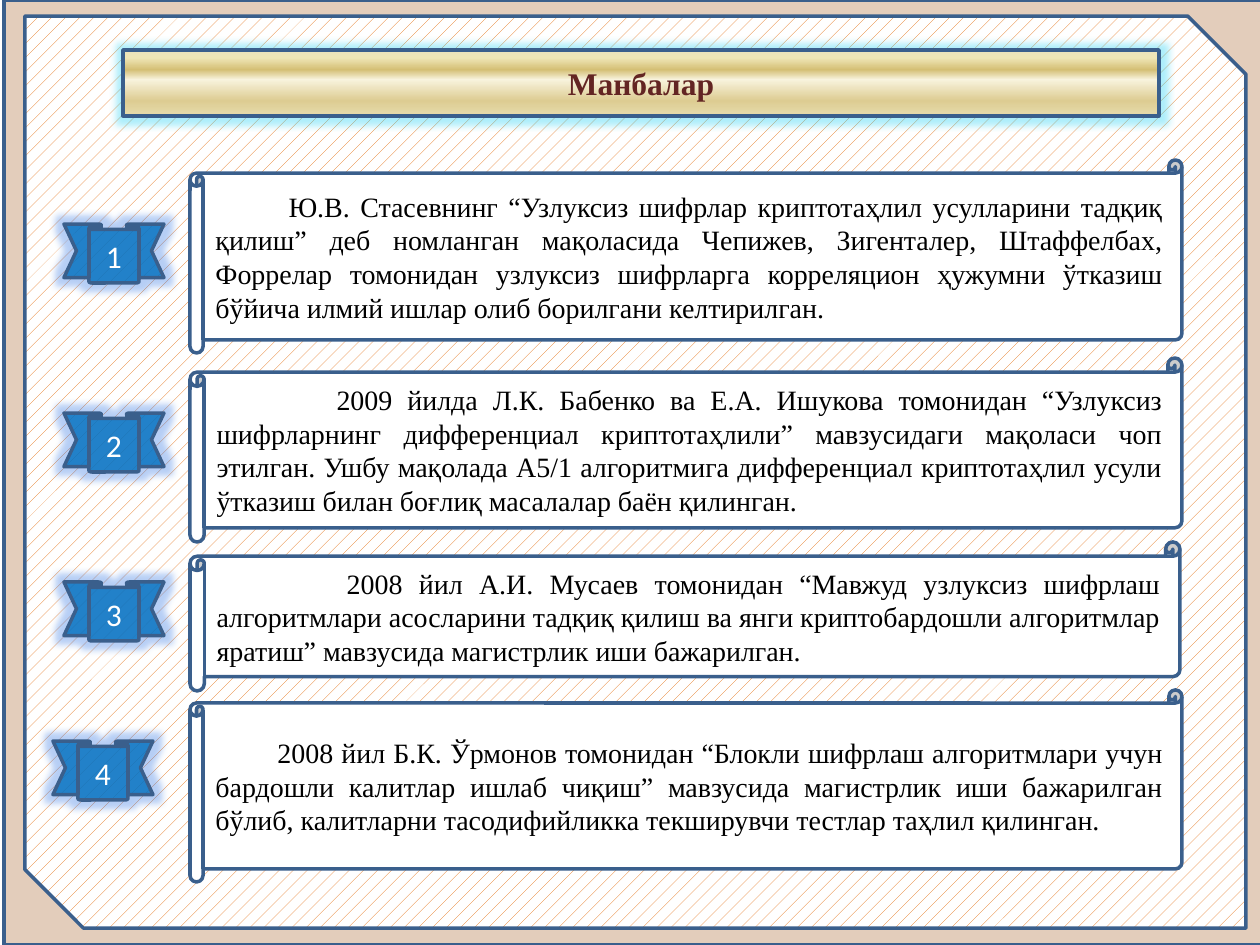
from lxml.etree import SubElement
from pptx import Presentation
from pptx.dml.color import RGBColor
from pptx.enum.dml import MSO_PATTERN
from pptx.enum.shapes import MSO_SHAPE
from pptx.enum.text import MSO_ANCHOR, PP_ALIGN
from pptx.oxml.ns import qn
from pptx.util import Pt

EMU_PER_PX = 914400 / 126
COLORS = {
    "frame": "984807", "outline": "3A5F8C", "hatch": "E46C0A",
    "white": "FFFFFF", "black": "000000", "ribbon": "0070C0",
    "title": "632523", "title_glow": "33D5F5", "ribbon_glow": "4A86E8",
}
TITLE_STOPS = [(0, "EBE3BD"), (12, "EFE6B6"), (30, "D4BF75"),
               (45, "F8F3DD"), (77, "DDCC92"), (100, "E6DCAC")]
TITLE_FONT = {"name": "Times New Roman", "size": Pt(18), "bold": True}
NUMBER_FONT = {"name": "Calibri", "size": Pt(18)}
BODY_FONT = {"name": "Times New Roman", "size": Pt(16)}

# Ribbon (left, top), scroll (top, width, height), curl, first-line indent, text
SOURCES = [
    ((64, 224), (160, 992, 193), 0.068, 73,
     "Ю.В. Стасевнинг “Узлуксиз шифрлар криптотаҳлил усулларини тадқиқ қилиш” "
     "деб номланган мақоласида Чепижев, Зигенталер, Штаффелбах, Форрелар "
     "томонидан узлуксиз шифрларга корреляцион ҳужумни ўтказиш бўйича илмий "
     "ишлар олиб борилгани келтирилган."),
    ((64, 413), (358, 992, 184), 0.077, 120,
     "2009 йилда Л.К. Бабенко ва Е.А. Ишукова томонидан “Узлуксиз шифрларнинг "
     "дифференциал криптотаҳлили” мавзусидаги мақоласи чоп этилган. Ушбу "
     "мақолада А5/1 алгоритмига дифференциал криптотаҳлил усули ўтказиш билан "
     "боғлиқ масалалар баён қилинган."),
    ((64, 582), (542, 990, 149), 0.096, 130,
     "2008 йил А.И. Мусаев томонидан “Мавжуд узлуксиз шифрлаш алгоритмлари "
     "асосларини тадқиқ қилиш ва янги криптобардошли алгоритмлар яратиш” "
     "мавзусида магистрлик иши бажарилган."),
    ((53, 741), (690, 992, 192), 0.068, 62,
     "2008 йил Б.К. Ўрмонов томонидан “Блокли шифрлаш алгоритмлари учун "
     "бардошли калитлар ишлаб чиқиш” мавзусида магистрлик иши бажарилган "
     "бўлиб, калитларни тасодифийликка текширувчи тестлар таҳлил қилинган."),
]


def px(length):
    return round(length * EMU_PER_PX)


def rgb(key):
    return RGBColor.from_string(COLORS[key])


class SlideBuilder:
    def __init__(self, slide):
        self.slide = slide

    def outline(self, shape):
        shape.shadow.inherit = False
        shape.line.color.rgb = rgb("outline")
        shape.line.width = Pt(2)

    def glow(self, shape, color):
        effects = shape._element.spPr.find(qn("a:effectLst"))
        glow = SubElement(effects, qn("a:glow"), rad=str(Pt(8)))
        tint = SubElement(glow, qn("a:srgbClr"), val=COLORS[color])
        SubElement(tint, qn("a:alpha"), val="40000")

    def shape(self, kind, box, color, opacity=100, curves=()):
        shape = self.slide.shapes.add_shape(kind, *map(px, box))
        for index, curve in enumerate(curves):
            shape.adjustments[index] = curve
        shape.fill.solid()
        shape.fill.fore_color.rgb = rgb(color)
        if opacity < 100:
            tint = shape._element.spPr.find(".//" + qn("a:srgbClr"))
            SubElement(tint, qn("a:alpha"), val=str(opacity * 1000))
        self.outline(shape)
        return shape

    def label(self, shape, text, font, color, align=PP_ALIGN.CENTER, indent=0):
        frame = shape.text_frame
        frame.word_wrap = True
        frame.vertical_anchor = MSO_ANCHOR.MIDDLE
        frame.text = text
        paragraph = frame.paragraphs[0]
        paragraph.alignment = align
        if indent:
            paragraph._p.get_or_add_pPr().set("indent", str(px(indent)))
        run = paragraph.runs[0]
        for name, value in font.items():
            setattr(run.font, name, value)
        run.font.color.rgb = rgb(color)

    def panel(self, box):
        panel = self.shape(MSO_SHAPE.SNIP_2_DIAG_RECTANGLE, box, "white",
                           curves=(0, 0.064))
        panel.fill.patterned()
        panel.fill.pattern = MSO_PATTERN.PERCENT_10
        panel.fill.fore_color.rgb = rgb("hatch")
        panel.fill.back_color.rgb = rgb("white")

    def title(self, text, box):
        title = self.slide.shapes.title
        for name, length in zip(("left", "top", "width", "height"), box):
            setattr(title, name, px(length))
        title.fill.gradient()
        title.fill.gradient_angle = 270
        stops = title._element.spPr.find(".//" + qn("a:gsLst"))
        stops.clear()
        for position, color in TITLE_STOPS:
            stop = SubElement(stops, qn("a:gs"), pos=str(position * 1000))
            SubElement(stop, qn("a:srgbClr"), val=color)
        self.outline(title)
        self.glow(title, "title_glow")
        self.label(title, text, TITLE_FONT, "title")
        # Bring the title in front of the background panel
        self.slide.shapes._spTree.append(title._element)

    def ribbon(self, number, left, top):
        ribbon = self.shape(MSO_SHAPE.DOWN_RIBBON, (left, top, 100, 59),
                            "ribbon", opacity=81, curves=(0.091, 0.5))
        self.glow(ribbon, "ribbon_glow")
        self.label(ribbon, str(number), NUMBER_FONT, "white")

    def scroll(self, text, top, width, height, curl, indent):
        scroll = self.shape(MSO_SHAPE.HORIZONTAL_SCROLL,
                            (190, top, width, height), "white", curves=(curl,))
        self.label(scroll, text, BODY_FONT, "black", PP_ALIGN.JUSTIFY, indent)


def main():
    deck = Presentation()
    deck.slide_width, deck.slide_height = px(1260), px(945)
    builder = SlideBuilder(deck.slides.add_slide(deck.slide_layouts[5]))

    # Background frame and panel
    builder.shape(MSO_SHAPE.RECTANGLE, (4, 0, 1260, 945), "frame", opacity=27)
    builder.panel((25, 16, 1221, 912))

    # Title bar
    builder.title("Манбалар", (123, 50, 1036, 66))

    # Numbered sources
    for number, (corner, place, curl, indent, text) in enumerate(SOURCES, 1):
        builder.ribbon(number, *corner)
        builder.scroll(text, *place, curl, indent)

    deck.save("out.pptx")


if __name__ == "__main__":
    main()
